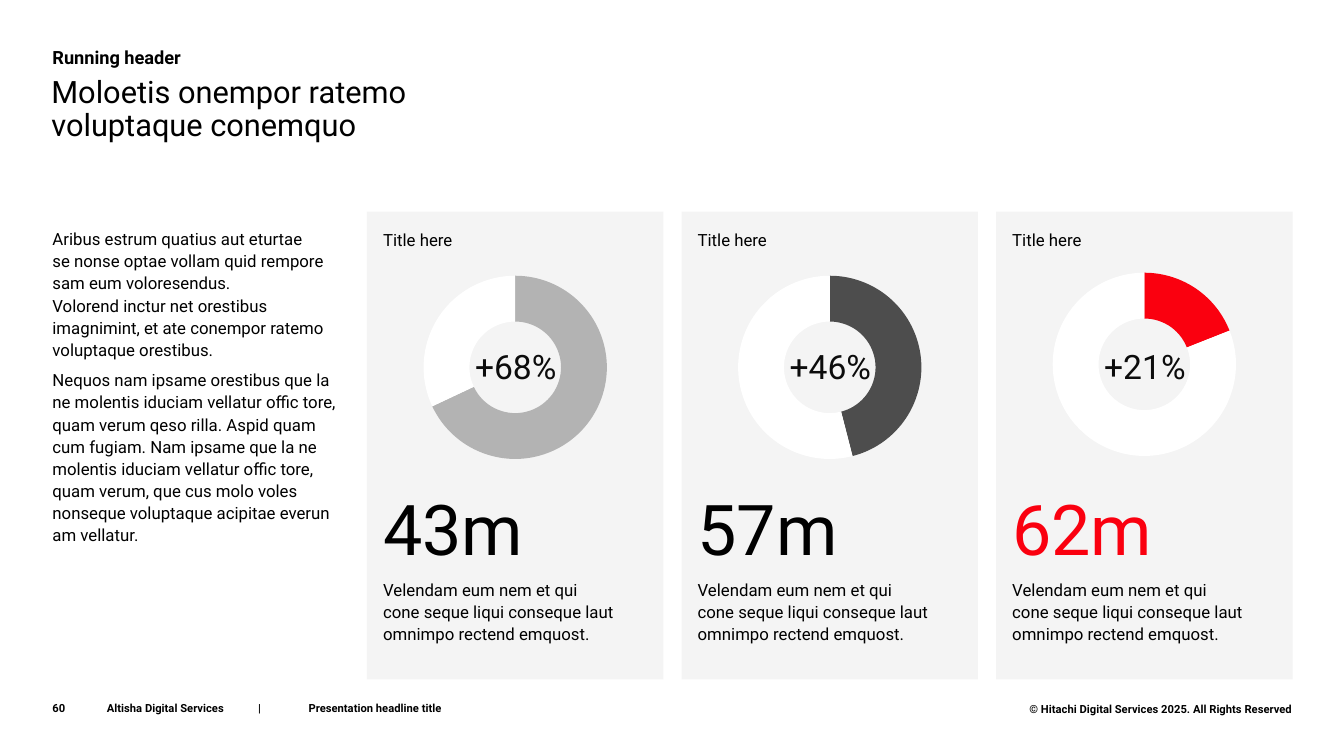
from copy import deepcopy
from dataclasses import dataclass

from lxml.etree import SubElement
from pptx import Presentation
from pptx.chart.data import CategoryChartData
from pptx.dml.color import RGBColor
from pptx.enum.chart import XL_CHART_TYPE
from pptx.enum.shapes import MSO_SHAPE
from pptx.enum.text import MSO_ANCHOR, MSO_AUTO_SIZE, PP_ALIGN
from pptx.oxml.ns import qn
from pptx.util import Inches, Pt


@dataclass(frozen=True)
class Theme:
    """Hold the colours, font and type sizes of the slide."""
    font: str = "Roboto"
    black: str = "000000"
    label: str = "0C0C0C"
    white: str = "FFFFFF"
    panel: str = "F4F4F4"
    red: str = "FA000F"
    light_grey: str = "B3B3B3"
    dark_grey: str = "4D4D4D"
    footer_size: int = 8
    chart_size: int = 10
    body_size: int = 12
    header_size: int = 13
    title_size: int = 22
    label_size: int = 24
    figure_size: int = 50


THEME = Theme()
CARD_LEFT, CARD_TOP, CARD_WIDTH, CARD_HEIGHT = 3.64, 2.1, 2.94, 4.64
CARD_PITCH = 3.12
CHART_HEIGHT = 2.09
RING = {"x": 0.19, "y": 0.065, "w": 0.62, "h": 0.87}
CARD_TEXT = "Velendam eum nem et qui\ncone seque liqui conseque laut omnimpo rectend emquost."
CARDS = [
    ("43m", THEME.black, "+68%", 68, THEME.light_grey, 2.6),
    ("57m", THEME.black, "+46%", 46, THEME.dark_grey, 2.6),
    ("62m", THEME.red, "+21%", 19, THEME.red, 2.57),
]
BODY = [
    "Aribus estrum quatius aut eturtae\nse nonse optae vollam quid rempore sam eum voloresendus.\n"
    "Volorend inctur net orestibus imagnimint, et ate conempor ratemo voluptaque orestibus.",
    "Nequos nam ipsame orestibus que la ne molentis iduciam vellatur offic tore, quam verum qeso "
    "rilla. Aspid quam cum fugiam. Nam ipsame que la ne molentis iduciam vellatur offic tore, quam "
    "verum, que cus molo voles nonseque voluptaque acipitae everun am vellatur.",
]


def write(frame, text, size=THEME.body_size, color=THEME.black, bold=False,
          align=PP_ALIGN.LEFT, spacing=1.0, before=0, tabs=()):
    """Write one formatted paragraph, using the empty first one if there is one."""
    para = frame.paragraphs[0]
    if para.runs:
        para = frame.add_paragraph()
    para.text = text
    para.alignment = align
    para.line_spacing = spacing
    para.space_before = Pt(before)
    properties = para._p.get_or_add_pPr()
    properties.set("marL", "0")
    properties.set("indent", "0")
    SubElement(properties, qn("a:buNone"))
    if tabs:
        stops = SubElement(properties, qn("a:tabLst"))
        for stop in tabs:
            SubElement(stops, qn("a:tab"), pos=str(Inches(stop)), algn="l")
    for span in para.runs:
        span.font.name = THEME.font
        span.font.size = Pt(size)
        span.font.bold = bold
        span.font.color.rgb = RGBColor.from_string(color)
    for line_break in para._p.findall(qn("a:br")):
        line_break.insert(0, deepcopy(para.runs[0]._r.rPr))


def prepare_frame(box, insets=(0, 0, 0, 0), anchor=MSO_ANCHOR.TOP):
    """Set wrapping, insets and anchor, and return the text frame."""
    frame = box.text_frame
    frame.word_wrap = True
    frame.auto_size = MSO_AUTO_SIZE.NONE
    frame.vertical_anchor = anchor
    (frame.margin_left, frame.margin_top,
     frame.margin_right, frame.margin_bottom) = map(Inches, insets)
    return frame


def place(box, left, top, width, height):
    """Move a placeholder and return its prepared text frame."""
    box.left, box.top, box.width, box.height = map(Inches, (left, top, width, height))
    return prepare_frame(box)


def add_label(page, text, left, top, width, height, anchor=MSO_ANCHOR.TOP, **style):
    """Add a text box with one paragraph."""
    box = page.shapes.add_textbox(*map(Inches, (left, top, width, height)))
    write(prepare_frame(box, anchor=anchor), text, **style)


def add_panel(page, left, figure, color):
    """Add a grey card with its title, large figure and text."""
    box = page.shapes.add_shape(
        MSO_SHAPE.RECTANGLE, *map(Inches, (left, CARD_TOP, CARD_WIDTH, CARD_HEIGHT)))
    box.shadow.inherit = False
    box.fill.solid()
    box.fill.fore_color.rgb = RGBColor.from_string(THEME.panel)
    box.line.fill.background()
    frame = prepare_frame(box, (0.16, 0.16, 0.16, 0.12))
    write(frame, "Title here", spacing=1.1)
    write(frame, figure, size=THEME.figure_size, color=color, spacing=1.1, before=162)
    write(frame, CARD_TEXT, spacing=1.1, before=6)


def add_ring(page, left, top, share, color):
    """Add a doughnut chart of a share out of one hundred."""
    data = CategoryChartData()
    data.categories = ["1", "2"]
    data.add_series("Series 1", (share, 100 - share))
    chart = page.shapes.add_chart(
        XL_CHART_TYPE.DOUGHNUT, *map(Inches, (left, top, CARD_WIDTH, CHART_HEIGHT)), data).chart
    chart.has_legend = False
    chart.has_title = False
    chart.font.name = THEME.font
    chart.font.size = Pt(THEME.chart_size)
    chart.font.color.rgb = RGBColor.from_string(THEME.black)
    plot = chart.plots[0]
    plot.vary_by_categories = True
    for index, fill in enumerate((color, THEME.white)):
        point = plot.series[0].points[index]
        point.format.fill.solid()
        point.format.fill.fore_color.rgb = RGBColor.from_string(fill)
        point.format.line.fill.background()
    plot._element.find(qn("c:holeSize")).set("val", "80")
    area = chart._chartSpace.chart.plotArea
    layout = area.find(qn("c:layout"))
    if layout is None:
        layout = SubElement(area, qn("c:layout"))
        area.insert(0, layout)
    manual = SubElement(layout, qn("c:manualLayout"))
    SubElement(manual, qn("c:layoutTarget"), val="inner")
    for axis in "xy":
        SubElement(manual, qn(f"c:{axis}Mode"), val="edge")
    for name, value in RING.items():
        SubElement(manual, qn(f"c:{name}"), val=str(value))


def main():
    """Build the slide and save the deck."""
    deck = Presentation()
    deck.slide_width, deck.slide_height = Inches(13.33), Inches(7.5)
    page = deck.slides.add_slide(deck.slide_layouts[1])

    title = place(page.shapes.title, 0.51, 0.76, 8.14, 0.7)
    write(title, "Moloetis onempor ratemo\nvoluptaque conemquo", size=THEME.title_size, spacing=0.9)
    body = place(page.placeholders[1], 0.52, 2.25, 2.95, 4.48)
    for index, text in enumerate(BODY):
        write(body, text, spacing=1.1, before=6 if index else 0)
    add_label(page, "Running header", 0.52, 0.44, 5.02, 0.23,
              size=THEME.header_size, bold=True, spacing=1.1)

    for index, (figure, figure_color, label, share, color, chart_top) in enumerate(CARDS):
        left = CARD_LEFT + index * CARD_PITCH
        add_panel(page, left, figure, figure_color)
        add_ring(page, left, chart_top, share, color)
        add_label(page, label, left + 0.53, 3, 1.89, 1.26, anchor=MSO_ANCHOR.MIDDLE,
                  size=THEME.label_size, color=THEME.label, align=PP_ALIGN.CENTER)

    footer = {"size": THEME.footer_size, "bold": True}
    add_label(page, "60", 0.52, 6.93, 0.47, 0.16, anchor=MSO_ANCHOR.BOTTOM, **footer)
    add_label(page, "Altisha Digital Services\t|\tPresentation headline title", 1.06, 6.93, 3.98, 0.16,
              anchor=MSO_ANCHOR.BOTTOM, tabs=(1.25, 1.36), **footer)
    add_label(page, "© Hitachi Digital Services 2025. All Rights Reserved", 9.65, 6.97, 3.17, 0.14,
              align=PP_ALIGN.RIGHT, **footer)
    deck.save("out.pptx")


if __name__ == "__main__":
    main()
